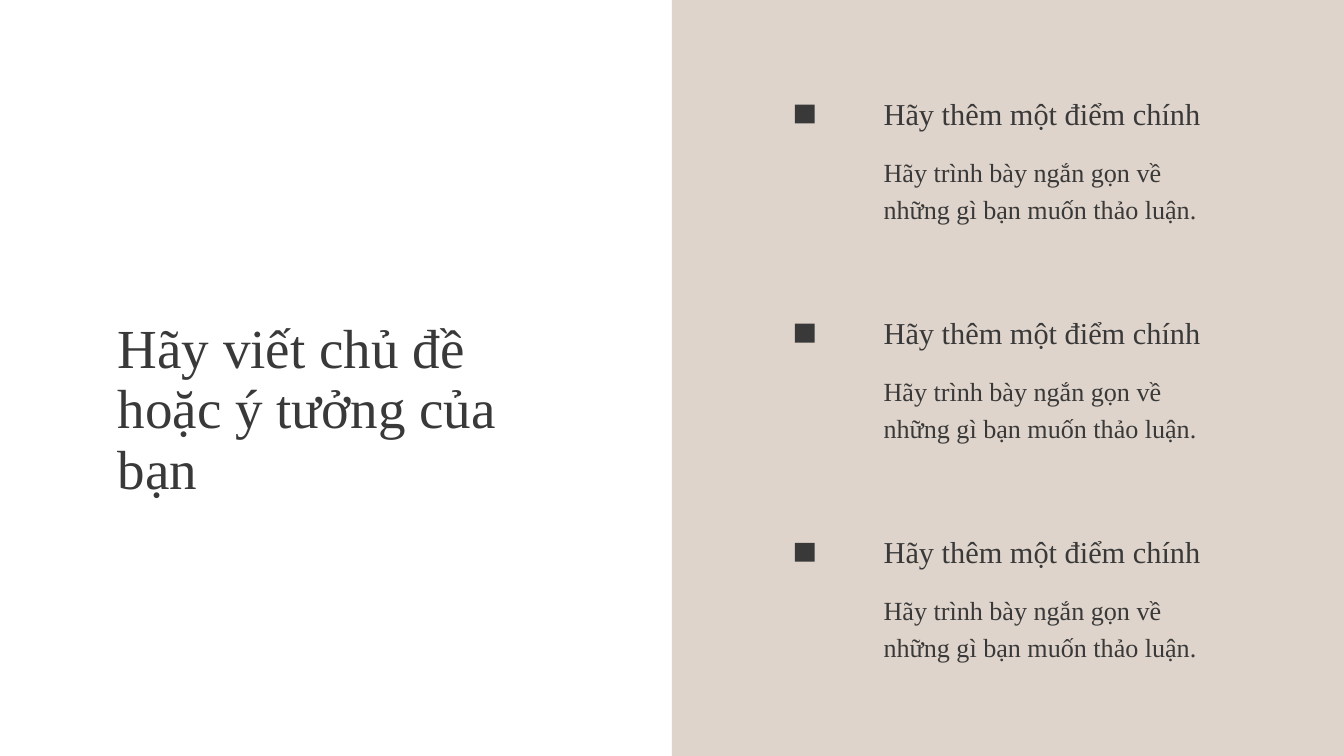
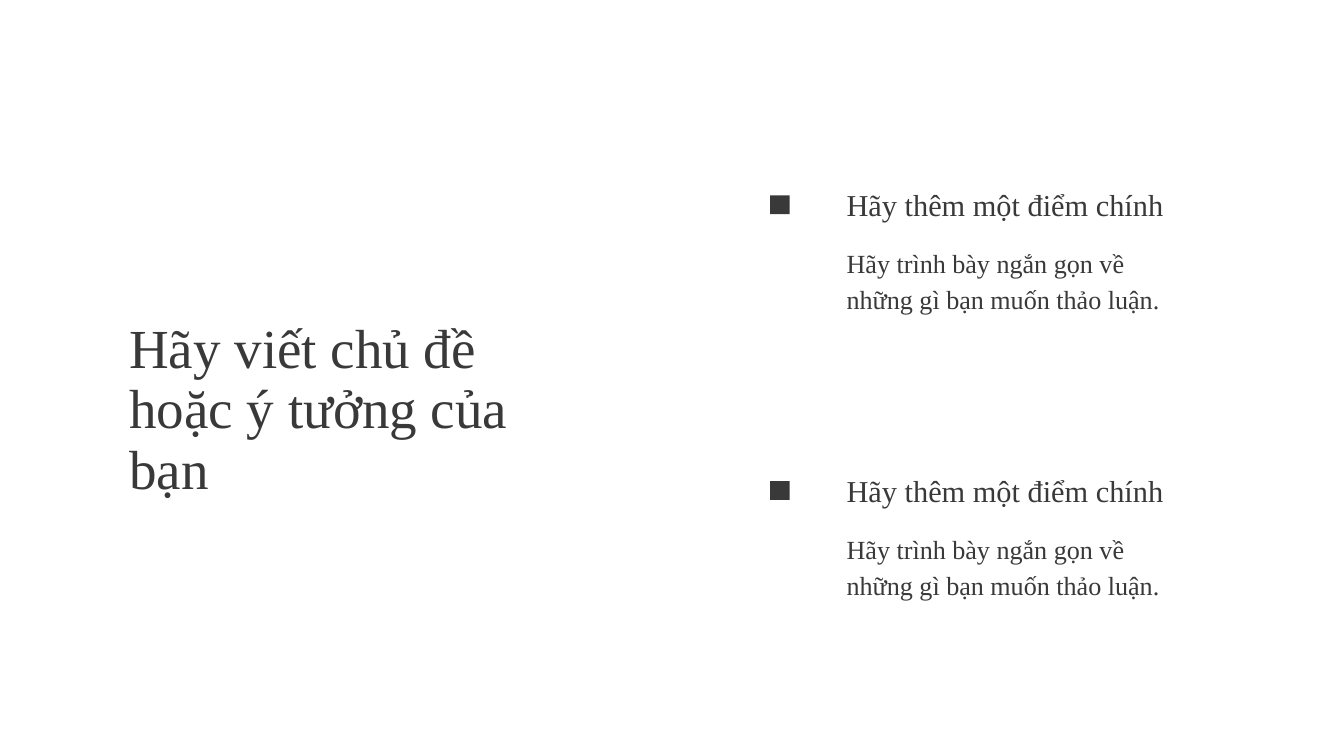
from pptx import Presentation
from pptx.dml.color import RGBColor
from pptx.enum.shapes import MSO_SHAPE
from pptx.enum.text import MSO_ANCHOR, MSO_AUTO_SIZE, PP_ALIGN
from pptx.util import Cm, Pt

RECT = MSO_SHAPE.RECTANGLE
TOP = MSO_ANCHOR.TOP
GROW = MSO_AUTO_SIZE.SHAPE_TO_FIT_TEXT
LEFT = PP_ALIGN.LEFT

WHITE = RGBColor(0xFF, 0xFF, 0xFF)
SAND = RGBColor(0xDF, 0xD4, 0xCB)
INK = RGBColor(0x39, 0x39, 0x39)
FONT = "Times New Roman"

TITLE = "Hãy viết chủ đề hoặc ý tưởng của bạn"
POINT = ("Hãy thêm một điểm chính",
         "Hãy trình bày ngắn gọn về những gì bạn muốn thảo luận.")

# Lengths in cm; pitch is the distance from one point to the next
SLIDES = [
    {"title_x": 4.45, "panel": True, "marker_x": 30.05, "text_x": 33.4,
     "top": 3.38, "pitch": 8.28, "points": [POINT] * 3},
    {"title_x": 4.88, "panel": False, "marker_x": 29.11, "text_x": 32,
     "top": 6.81, "pitch": 10.8, "points": [POINT] * 2},
]

SLIDE_W, SLIDE_H = 50.8, 28.58
TITLE_Y, TITLE_W, TITLE_H = 12.04, 17.2, 4.65
POINT_W, HEADING_H, BODY_H = 12.75, 1.57, 2.69
BODY_DY, MARKER_DY = 2.34, 0.58
MARKER_W, MARKER_H = 0.74, 0.71

# Font size and line spacing in points
TITLE_STYLE = (59, 64.9)
HEADING_STYLE = (32.5, 45.5)
BODY_STYLE = (28, 39.2)


def place(sp, x, y, w, h):
    sp.left, sp.top, sp.width, sp.height = Cm(x), Cm(y), Cm(w), Cm(h)


def write(sp, text, style):
    size, spacing = style
    tf = sp.text_frame
    frame = {"word_wrap": True, "auto_size": GROW, "vertical_anchor": TOP,
             "margin_left": 0, "margin_top": 0,
             "margin_right": 0, "margin_bottom": 0}
    for name, value in frame.items():
        setattr(tf, name, value)
    p = tf.paragraphs[0]
    p.alignment = LEFT
    p.line_spacing = Pt(spacing)
    r = p.add_run()
    r.text = text
    r.font.name = FONT
    r.font.size = Pt(size)
    r.font.color.rgb = INK


def add_text(s, text, style, *box):
    write(s.shapes.add_textbox(*map(Cm, box)), text, style)


def add_rect(s, color, *box):
    sp = s.shapes.add_shape(RECT, *map(Cm, box))
    sp.shadow.inherit = False
    sp.fill.solid()
    sp.fill.fore_color.rgb = color
    sp.line.fill.background()


def add_point(s, point, marker_x, text_x, y):
    heading, body = point
    add_rect(s, INK, marker_x, y + MARKER_DY, MARKER_W, MARKER_H)
    add_text(s, heading, HEADING_STYLE, text_x, y, POINT_W, HEADING_H)
    add_text(s, body, BODY_STYLE, text_x, y + BODY_DY, POINT_W, BODY_H)


def add_slide(prs, spec):
    s = prs.slides.add_slide(prs.slide_layouts.get_by_name("Title Only"))
    s.background.fill.solid()
    s.background.fill.fore_color.rgb = WHITE
    if spec["panel"]:
        add_rect(s, SAND, SLIDE_W / 2, 0, SLIDE_W / 2, SLIDE_H)
    title = s.shapes.title
    place(title, spec["title_x"], TITLE_Y, TITLE_W, TITLE_H)
    write(title, TITLE, TITLE_STYLE)
    for i, point in enumerate(spec["points"]):
        y = spec["top"] + i * spec["pitch"]
        add_point(s, point, spec["marker_x"], spec["text_x"], y)


def main():
    prs = Presentation()
    prs.slide_width, prs.slide_height = Cm(SLIDE_W), Cm(SLIDE_H)
    for spec in SLIDES:
        add_slide(prs, spec)
    prs.save("out.pptx")


if __name__ == "__main__":
    main()
